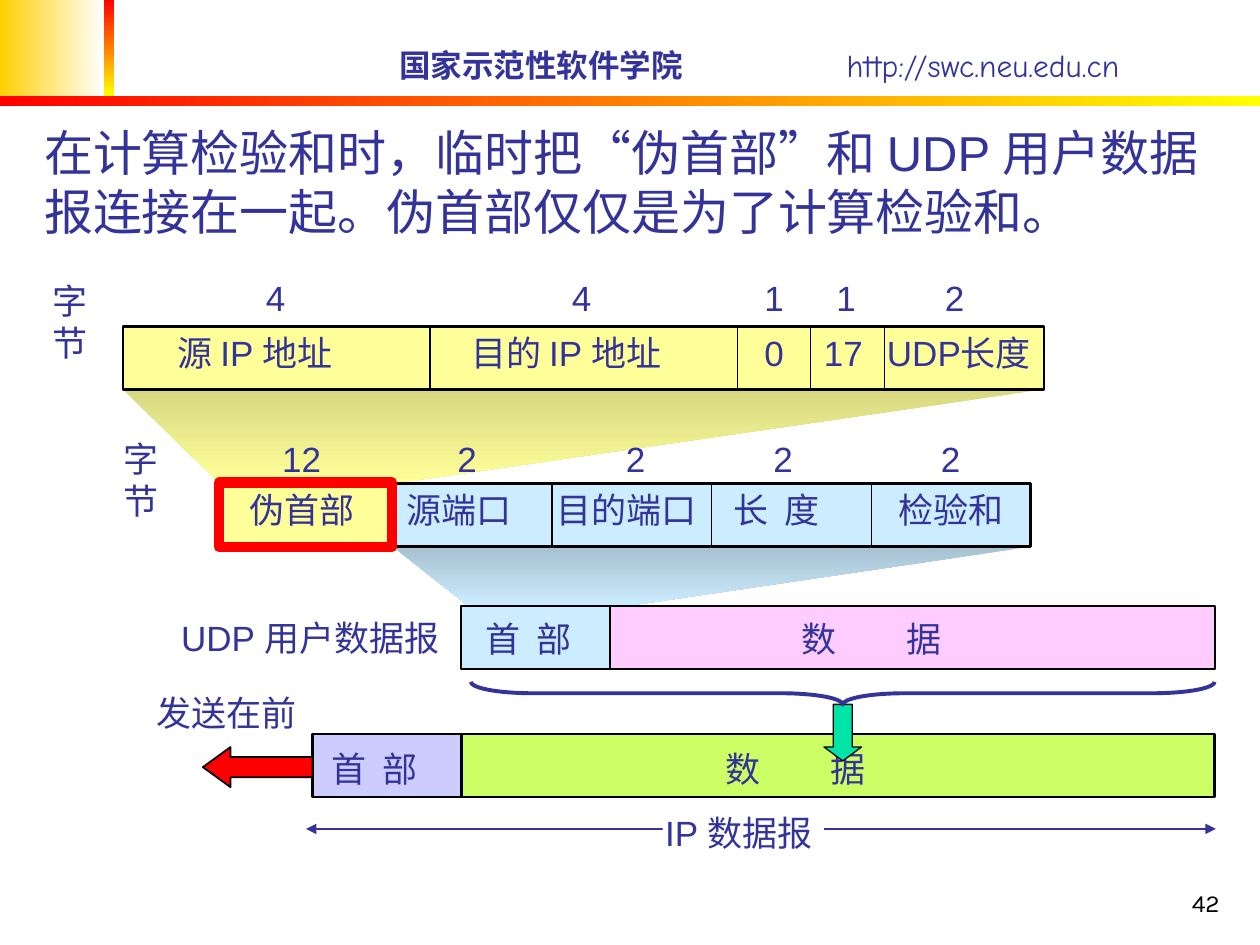
from lxml.etree import SubElement
from pptx import Presentation
from pptx.dml.color import RGBColor
from pptx.enum.dml import MSO_LINE
from pptx.enum.shapes import MSO_CONNECTOR, MSO_SHAPE
from pptx.enum.text import MSO_ANCHOR, MSO_AUTO_SIZE, PP_ALIGN
from pptx.oxml.ns import qn
from pptx.util import Cm, Pt

INK = "333399"
BLACK = "000000"
ROW = 1.27
PSEUDO_TOP, FIELDS_TOP, UDP_TOP, IP_TOP = 6.58, 9.75, 12.22, 14.8

presentation = Presentation()
presentation.slide_width, presentation.slide_height = Cm(25.4), Cm(19.05)
slide = presentation.slides.add_slide(presentation.slide_layouts[6])
shapes = slide.shapes


def add_box(left, top, width, height, fill=None, line=None, points=1, kind=MSO_SHAPE.RECTANGLE):
    """Add a preset shape; fill and line are hex colours, None for none."""
    shape = shapes.add_shape(kind, Cm(left), Cm(top), Cm(width), Cm(height))
    shape.shadow.inherit = False
    if fill:
        shape.fill.solid()
        shape.fill.fore_color.rgb = RGBColor.from_string(fill)
    else:
        shape.fill.background()
    if line:
        shape.line.color.rgb = RGBColor.from_string(line)
        shape.line.width = Pt(points)
    else:
        shape.line.fill.background()
    return shape


def add_text(left, top, width, runs, height=1.12, size=20, color=INK, bold=False, wrap=False, tab=None):
    """Add a one-paragraph text box from (text, font) runs, with an optional tab stop in cm."""
    box = shapes.add_textbox(Cm(left), Cm(top), Cm(width), Cm(height))
    frame = box.text_frame
    frame.word_wrap = wrap
    frame.auto_size = MSO_AUTO_SIZE.SHAPE_TO_FIT_TEXT
    paragraph = frame.paragraphs[0]
    if tab:
        tabs = SubElement(paragraph._p.get_or_add_pPr(), qn("a:tabLst"))
        SubElement(tabs, qn("a:tab"), pos=str(Cm(tab)), algn="l")
    for text, font in runs:
        run = paragraph.add_run()
        run.text = text
        run.font.name = font
        run.font.size = Pt(size)
        run.font.bold = bold
        run.font.color.rgb = RGBColor.from_string(color)
    return box


# Header bands and the funnels between rows
gradients = [
    (add_box(0, 0, 2.1, 1.93), "FFCF01", "FFFFFF", 0),
    (add_box(2.1, 0, 0.2, 1.93), "FF0000", "FFFF00", 270),
    (add_box(0, 1.93, 25.4, 0.2), "FF0000", "FFFF00", 0),
]
funnels = [
    ([(2.48, 7.85), (21.04, 7.85), (7.92, 9.75), (4.44, 9.75)], "D8D882", "FFFF99"),
    ([(7.92, 11.02), (20.78, 11.02), (12.62, 12.22), (9.45, 12.22)], "A7C1D1", "CCECFF"),
]
for points, start, end in funnels:
    corners = [(Cm(x), Cm(y)) for x, y in points]
    builder = shapes.build_freeform(*corners[0])
    builder.add_line_segments(corners[1:], close=True)
    funnel = builder.convert_to_shape()
    funnel.shadow.inherit = False
    funnel.line.fill.background()
    gradients.append((funnel, start, end, 270))
for shape, start, end, angle in gradients:
    shape.fill.gradient()
    shape.fill.gradient_angle = angle
    for stop, color in zip(shape.fill.gradient_stops, (start, end)):
        stop.color.rgb = RGBColor.from_string(color)

add_text(7.8, 0.81, 7, [("国家示范性软件学院", "Comic Neue")], 1.02, 18, bold=True)
add_text(16.82, 0.81, 7, [("http://swc.neu.edu.cn", "Comic Neue")], 1.02, 18)

# Rows of the diagram
for left, top, width, fill, points in [
    (2.48, PSEUDO_TOP, 18.57, "FFFF99", 1.5),
    (7.91, FIELDS_TOP, 12.87, "CCECFF", 1.5),
    (9.3, UDP_TOP, 3, "CCECFF", 1),
    (12.3, UDP_TOP, 12.19, "FFCCFF", 1),
    (9.3, IP_TOP, 15.19, "CCFF66", 1.5),
    (6.3, IP_TOP, 3, "CCCCFF", 1.5),
]:
    add_box(left, top, width, ROW, fill, BLACK, points)
pseudo_header = add_box(4.45, FIELDS_TOP, 3.47, ROW, "FFFF99", BLACK, 1.5)
pseudo_header.line.dash_style = MSO_LINE.DASH

# Field dividers and the extent of the IP datagram
lines = [(x, PSEUDO_TOP, x, PSEUDO_TOP + ROW, BLACK) for x in (8.67, 14.86, 16.34, 17.83)]
lines += [(11.13 + 3.22 * i, FIELDS_TOP, 11.13 + 3.22 * i, FIELDS_TOP + ROW, BLACK) for i in range(3)]
lines.append((6.17, 16.71, 24.51, 16.71, INK))
for x1, y1, x2, y2, color in lines:
    connector = shapes.add_connector(MSO_CONNECTOR.STRAIGHT, Cm(x1), Cm(y1), Cm(x2), Cm(y2))
    connector.line.color.rgb = RGBColor.from_string(color)
    connector.line.width = Pt(0.75)
    SubElement(connector._element.spPr, qn("a:effectLst"))
extent_line = connector.line._get_or_add_ln()
for end in ("a:headEnd", "a:tailEnd"):
    SubElement(extent_line, qn(end), type="triangle")
add_box(13.36, 16.28, 3.25, 0.81, "FFFFFF")

# Labels: left, top, width, text
for left, top, width, text in [
    (0.81, 5.51, 1.9, "字节"),
    (5.11, 5.44, 0.89, "4"),
    (11.28, 5.44, 0.89, "4"),
    (15.16, 5.44, 0.89, "1"),
    (16.61, 5.44, 0.89, "1"),
    (18.8, 5.44, 0.89, "2"),
    (3.33, 6.55, 4.17, "源 IP 地址"),
    (9.25, 6.55, 4.88, "目的 IP 地址"),
    (15.16, 6.55, 0.89, "0"),
    (16.36, 6.55, 1.3, "17"),
    (17.63, 6.55, 3.58, "UDP长度"),
    (2.24, 8.7, 1.9, "字节"),
    (5.44, 8.7, 1.3, "12"),
    (8.97, 8.7, 0.89, "2"),
    (12.37, 8.7, 0.89, "2"),
    (15.34, 8.7, 0.89, "2"),
    (18.72, 8.7, 0.89, "2"),
    (4.78, 9.73, 2.62, "伪首部"),
    (7.95, 9.73, 2.62, "源端口"),
    (10.97, 9.73, 3.33, "目的端口"),
    (17.86, 9.73, 2.62, "检验和"),
    (3.4, 12.3, 5.89, "UDP 用户数据报"),
    (2.9, 13.82, 3.33, "发送在前"),
    (13.16, 16.23, 3.66, "IP 数据报"),
]:
    add_text(left, top, width, [(text, "Arial")])

# Labels whose two characters are set apart
for left, top, width, text, tab in [
    (14.53, 9.73, 2.62, "长\t度", 1.03),
    (9.53, 12.32, 2.62, "首\t部", 1.03),
    (15.9, 12.32, 5.11, "数\t据", 2.12),
    (6.43, 14.94, 2.62, "首\t部", 1.03),
    (14.38, 14.94, 5.11, "数\t据", 2.12),
]:
    add_text(left, top, width, [(text, "Arial")], tab=tab)

# Arrows, brace and highlight
send_arrow = add_box(4.09, 15.06, 2.21, 0.81, "FF0000", BLACK, 1, MSO_SHAPE.LEFT_ARROW)
send_arrow.adjustments[1] = 0.69
insert_arrow = add_box(16.61, 14.2, 0.76, 1.14, "00E4A8", BLACK, 0.75, MSO_SHAPE.DOWN_ARROW)
insert_arrow.adjustments[1] = 0.37
brace = add_box(16.76, 6.48, 0.46, 14.99, None, INK, 2.25, MSO_SHAPE.LEFT_BRACE)
brace.adjustments[0] = 2.7
brace.rotation = 270
add_box(4.42, 9.73, 3.48, 1.3, None, "FF0000", 6)

add_text(0.64, 2.34, 24.1, [
    ("在计算检验和时，临时把“伪首部”和 UDP 用户数据报连接在一起。", "Arial"),
    ("伪首部仅仅是为了计算检验和。", "Karla"),
], 2.64, 28, wrap=True)
page_number = add_text(19.56, 17.35, 5.28, [("42", "Karla")], 1.27, 14, BLACK, wrap=True)
page_number.text_frame.auto_size = MSO_AUTO_SIZE.NONE
page_number.text_frame.vertical_anchor = MSO_ANCHOR.BOTTOM
page_number.text_frame.paragraphs[0].alignment = PP_ALIGN.RIGHT

presentation.save("out.pptx")
